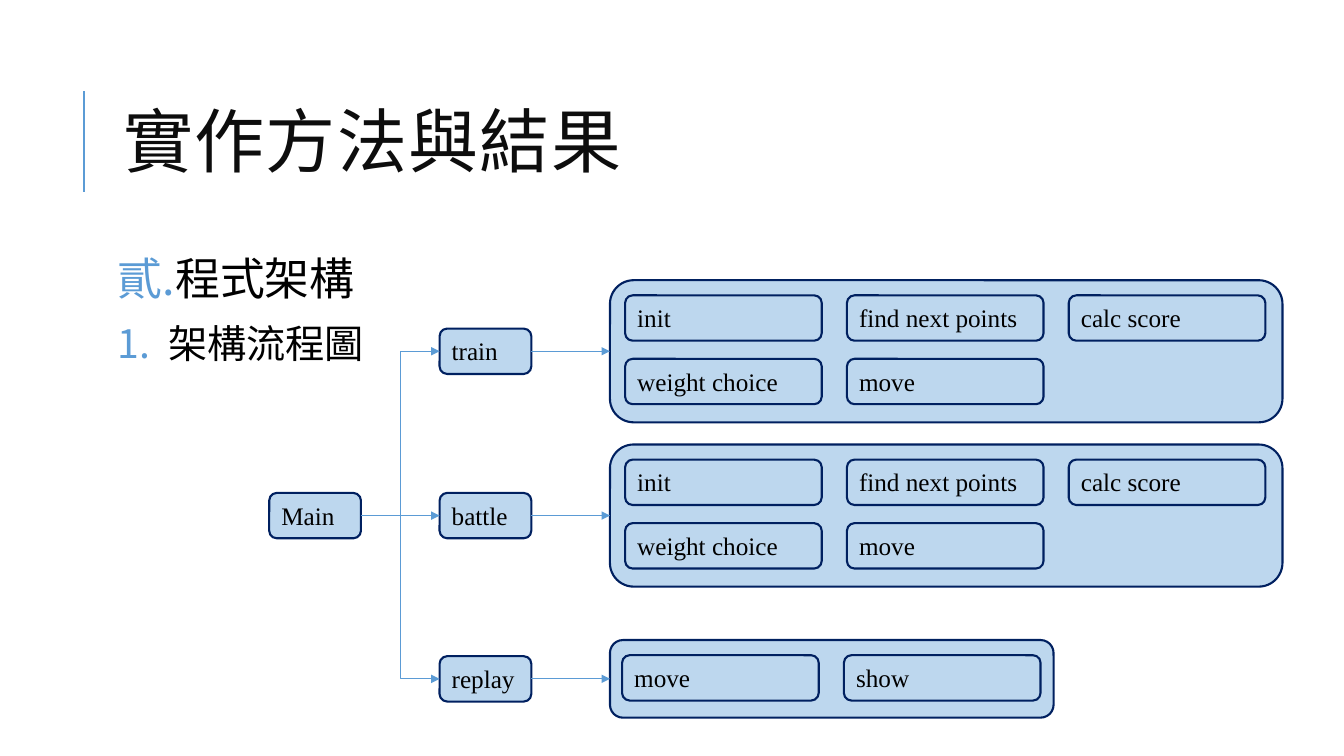
from dataclasses import dataclass

from lxml import etree
from pptx import Presentation
from pptx.dml.color import RGBColor
from pptx.enum import shapes, text
from pptx.oxml import ns
from pptx.shapes.autoshape import Shape
from pptx.shapes.connector import Connector
from pptx.slide import Slide
from pptx.util import Inches, Pt


@dataclass(frozen=True)
class Theme:
    font: str = "Times New Roman"
    title: RGBColor = RGBColor(0x0D, 0x0D, 0x0D)
    ink: RGBColor = RGBColor(0, 0, 0)
    fill: RGBColor = RGBColor(0xBD, 0xD7, 0xEE)
    edge: RGBColor = RGBColor(0x00, 0x20, 0x60)
    accent: RGBColor = RGBColor(0x5B, 0x9B, 0xD5)
    title_size: int = 50
    head_size: int = 32
    item_size: int = 28
    node_size: int = 18
    thick: float = 1.5
    thin: float = 0.75


@dataclass(frozen=True)
class Box:
    left: float
    top: float
    width: float
    height: float


@dataclass(frozen=True)
class Branch:
    name: str
    top: float
    panel: Box
    pad: float
    rows: tuple[tuple[str, ...], ...]


@dataclass(frozen=True)
class Item:
    label: str
    size: int
    indent: float
    scheme: str
    start: int


THEME = Theme()
NODE_W, NODE_H = 0.91, 0.45
MAIN = Box(2.67, 4.89, NODE_W, NODE_H)
BRANCH_X = 4.36
CELL_W, CELL_DX, CELL_DY, CELL_PAD = 1.95, 2.2, 0.63, 0.15
STEPS = (("init", "find next points", "calc score"), ("weight choice", "move"))
BRANCHES = (
    Branch("train", 3.26, Box(6.05, 2.78, 6.67, 1.41), 0.15, STEPS),
    Branch("battle", 4.89, Box(6.05, 4.41, 6.67, 1.41), 0.15, STEPS),
    Branch("replay", 6.51, Box(6.05, 6.35, 4.4, 0.77), 0.12, (("move", "show"),)),
)
ITEMS = (
    Item("程式架構", THEME.head_size, 0.56, "ea1ChtPeriod", 2),
    Item("架構流程圖", THEME.item_size, 0.5, "arabicPeriod", 1),
)


def add_run(para, label: str, size: int, color: RGBColor):
    run = para.add_run()
    run.text = label
    run.font.name = THEME.font
    run.font.size = Pt(size)
    run.font.color.rgb = color
    return run


def add_box(slide: Slide, box: Box, label: str = "") -> Shape:
    shape = slide.shapes.add_shape(
        shapes.MSO_SHAPE.ROUNDED_RECTANGLE, Inches(box.left), Inches(box.top),
        Inches(box.width), Inches(box.height))
    shape.shadow.inherit = False
    shape.fill.solid()
    shape.fill.fore_color.rgb = THEME.fill
    shape.line.color.rgb = THEME.edge
    shape.line.width = Pt(THEME.thick)
    if label:
        frame = shape.text_frame
        frame.word_wrap = True
        frame.auto_size = text.MSO_AUTO_SIZE.SHAPE_TO_FIT_TEXT
        frame.vertical_anchor = text.MSO_ANCHOR.TOP
        para = frame.paragraphs[0]
        para.alignment = text.PP_ALIGN.LEFT
        add_run(para, label, THEME.node_size, THEME.ink)
    return shape


def style_line(line: Connector, width: float) -> None:
    line.line.color.rgb = THEME.accent
    line.line.width = Pt(width)
    etree.SubElement(line._element.spPr, ns.qn("a:effectLst"))


def add_arrow(slide: Slide, start: Shape, end: Shape, bent: bool = False) -> None:
    kind = shapes.MSO_CONNECTOR.ELBOW if bent else shapes.MSO_CONNECTOR.STRAIGHT
    line = slide.shapes.add_connector(
        kind, start.left + start.width, start.top + start.height // 2,
        end.left, end.top + end.height // 2)
    line.begin_connect(start, 3)
    line.end_connect(end, 1)
    style_line(line, THEME.thin)
    etree.SubElement(line.line._get_or_add_ln(), ns.qn("a:tailEnd"), type="triangle")


def add_title(slide: Slide, label: str) -> None:
    rule = slide.shapes.add_connector(
        shapes.MSO_CONNECTOR.STRAIGHT, Inches(0.83), Inches(1.9), Inches(0.83), Inches(0.9))
    style_line(rule, THEME.thick)
    title = slide.shapes.title
    title.left, title.top = Inches(1.12), Inches(0.64)
    title.width, title.height = Inches(10.63), Inches(1.64)
    frame = title.text_frame
    frame.auto_size = text.MSO_AUTO_SIZE.NONE
    frame.vertical_anchor = text.MSO_ANCHOR.MIDDLE
    para = frame.paragraphs[0]
    para.alignment = text.PP_ALIGN.LEFT
    para.line_spacing = 0.8
    run = add_run(para, label, THEME.title_size, THEME.title)
    run.font._element.set("spc", "100")


def add_list(slide: Slide, items: tuple[Item, ...]) -> None:
    frame = slide.shapes.add_textbox(
        Inches(1.12), Inches(2.5), Inches(10.63), Inches(4.4)).text_frame
    frame.word_wrap = True
    frame.margin_left = frame.margin_right = Inches(0.05)
    frame.margin_top = frame.margin_bottom = Inches(0.05)
    for index, item in enumerate(items):
        para = frame.add_paragraph() if index else frame.paragraphs[0]
        para.line_spacing = 0.9
        para.space_before, para.space_after = Pt(12), Pt(2)
        add_run(para, item.label, item.size, THEME.ink)
        # Coloured automatic numbering
        props = para._p.get_or_add_pPr()
        props.set("marL", str(Inches(item.indent)))
        props.set("indent", str(-Inches(item.indent)))
        color = etree.SubElement(props, ns.qn("a:buClr"))
        etree.SubElement(color, ns.qn("a:srgbClr"), val=str(THEME.accent))
        etree.SubElement(props, ns.qn("a:buAutoNum"), type=item.scheme,
                         startAt=str(item.start))


def add_branch(slide: Slide, main: Shape, branch: Branch) -> None:
    node = add_box(slide, Box(BRANCH_X, branch.top, NODE_W, NODE_H), branch.name)
    panel = add_box(slide, branch.panel)
    for row, labels in enumerate(branch.rows):
        for col, label in enumerate(labels):
            left = branch.panel.left + branch.pad + col * CELL_DX
            top = branch.panel.top + CELL_PAD + row * CELL_DY
            add_box(slide, Box(left, top, CELL_W, NODE_H), label)
    add_arrow(slide, main, node, bent=branch.top != MAIN.top)
    add_arrow(slide, node, panel)


def main() -> None:
    deck = Presentation()
    deck.slide_width, deck.slide_height = Inches(13.33), Inches(7.5)
    slide = deck.slides.add_slide(deck.slide_layouts[5])

    # Heading and numbered list
    add_title(slide, "實作方法與結果")
    add_list(slide, ITEMS)

    # Flow chart
    root = add_box(slide, MAIN, "Main")
    for branch in BRANCHES:
        add_branch(slide, root, branch)

    deck.save("out.pptx")


if __name__ == "__main__":
    main()
